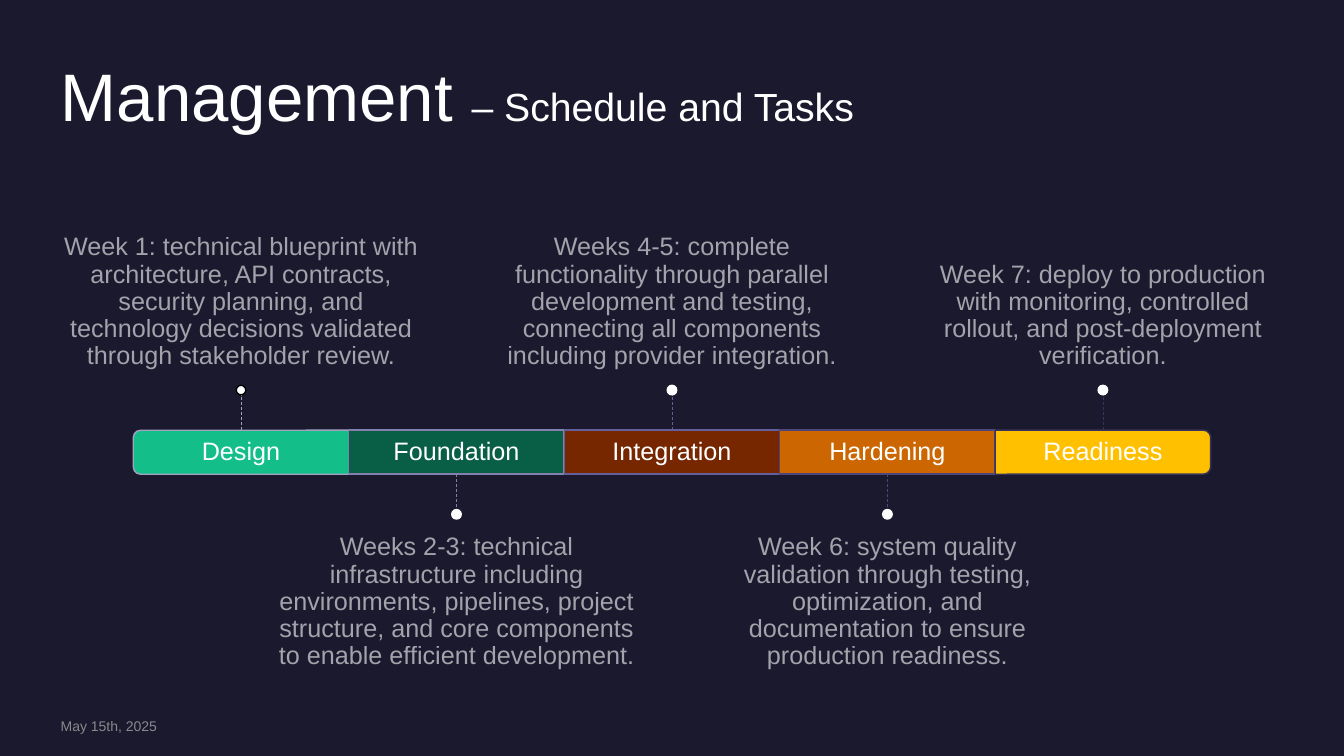
from pptx import Presentation
from pptx.dml.color import RGBColor
from pptx.enum.dml import MSO_LINE
from pptx.enum.shapes import MSO_CONNECTOR, MSO_SHAPE
from pptx.enum.text import MSO_ANCHOR, MSO_AUTO_SIZE, PP_ALIGN
from pptx.oxml.ns import qn
from pptx.util import Cm, Pt
from lxml import etree

STRAIGHT = MSO_CONNECTOR.STRAIGHT
RECT, DOT = MSO_SHAPE.RECTANGLE, MSO_SHAPE.OVAL
ROUNDED_END = MSO_SHAPE.ROUND_2_SAME_RECTANGLE
TOP, MIDDLE, BOTTOM = MSO_ANCHOR.TOP, MSO_ANCHOR.MIDDLE, MSO_ANCHOR.BOTTOM
LEFT, CENTER = PP_ALIGN.LEFT, PP_ALIGN.CENTER
DASH = MSO_LINE.DASH
NO_AUTOFIT = MSO_AUTO_SIZE.NONE

FONT = "Arial"
WHITE = "FFFFFF"

# Timeline geometry in centimetres
SLIDE_W, SLIDE_H = 33.87, 19.05
PHASE_W, BAR_TOP, BAR_H = 5.43, 10.84, 1.11
STEM, DOT_SIZE = 0.89, 0.24
TASK_W, TASK_H, TASK_GAP = 9.07, 3.87, 0.38

# Phase, bar colour, line colour, dot outline, task
PHASES = [
    ("Design", "13BE89", "A3A3C1", "000000",
     "Week 1: technical blueprint with architecture, API contracts, security "
     "planning, and technology decisions validated through stakeholder review."),
    ("Foundation", "095F45", "8281AE", WHITE,
     "Weeks 2-3: technical infrastructure including environments, pipelines, project "
     "structure, and core components to enable efficient development."),
    ("Integration", "762700", "625F9A", WHITE,
     "Weeks 4-5: complete functionality through parallel development and testing, "
     "connecting all components including provider integration."),
    ("Hardening", "CC6600", "4C487B", WHITE,
     "Week 6: system quality validation through testing, optimization, and "
     "documentation to ensure production readiness."),
    ("Readiness", "FFC000", "37335B", WHITE,
     "Week 7: deploy to production with monitoring, controlled rollout, and "
     "post-deployment verification."),
]


def rgb(hex_color):
    return RGBColor.from_string(hex_color)


def format_run(run, size, color=WHITE, opacity=100):
    run.font.name = FONT
    run.font.size = Pt(size)
    run.font.color.rgb = rgb(color)
    if opacity < 100:
        tint = run.font.fill._xPr.find(qn("a:solidFill"))[0]
        etree.SubElement(tint, qn("a:alpha"), val=str(opacity * 1000))


def set_frame(frame, anchor, top=0, bottom=0):
    frame.word_wrap = True
    frame.auto_size = NO_AUTOFIT
    frame.vertical_anchor = anchor
    frame.margin_left = frame.margin_right = 0
    frame.margin_top, frame.margin_bottom = Cm(top), Cm(bottom)


def add_text(slide, text, left, top, width, height, size, color=WHITE, opacity=100,
             align=CENTER, anchor=MIDDLE, inset_top=0, inset_bottom=0, spacing=0.9):
    frame = slide.shapes.add_textbox(Cm(left), Cm(top), Cm(width), Cm(height)).text_frame
    set_frame(frame, anchor, inset_top, inset_bottom)
    paragraph = frame.paragraphs[0]
    paragraph.text = text
    paragraph.alignment = align
    paragraph.line_spacing = spacing
    format_run(paragraph.runs[0], size, color, opacity)


def add_block(slide, kind, center_x, center_y, width, height, fill, outline, rotation=0):
    block = slide.shapes.add_shape(kind, Cm(center_x - width / 2), Cm(center_y - height / 2),
                                   Cm(width), Cm(height))
    block.rotation = rotation
    block.shadow.inherit = False
    block.fill.solid()
    block.fill.fore_color.rgb = rgb(fill)
    block.line.color.rgb = rgb(outline)
    block.line.width = Pt(1)


def add_stem(slide, x, start, end, color):
    stem = slide.shapes.add_connector(STRAIGHT, Cm(x), Cm(start), Cm(x), Cm(end))
    stem.line.color.rgb = rgb(color)
    stem.line.width = Pt(0.5)
    stem.line.dash_style = DASH
    etree.SubElement(stem._element.spPr, qn("a:effectLst"))


def add_title(slide):
    title = slide.shapes.title
    title.left, title.top, title.width, title.height = Cm(1.53), Cm(1.53), Cm(30.81), Cm(1.98)
    set_frame(title.text_frame, MIDDLE)
    paragraph = title.text_frame.paragraphs[0]
    paragraph.alignment = LEFT
    paragraph.line_spacing = 0.9
    for text, size in (("Management ", 48), ("– Schedule and Tasks", 28)):
        run = paragraph.add_run()
        run.text = text
        format_run(run, size)


def add_phase(slide, index, name, fill, outline, dot_outline, task):
    center_x = SLIDE_W / 2 + (index - (len(PHASES) - 1) / 2) * PHASE_W
    bar_middle = BAR_TOP + BAR_H / 2

    # Bar segment: the outer ends are rounded shapes turned on their side
    end_rotation = {0: 270, len(PHASES) - 1: 90}.get(index)
    if end_rotation:
        add_block(slide, ROUNDED_END, center_x, bar_middle, BAR_H, PHASE_W,
                  fill, outline, end_rotation)
    else:
        add_block(slide, RECT, center_x, bar_middle, PHASE_W, BAR_H, fill, outline)
    add_text(slide, name, center_x - PHASE_W / 2, BAR_TOP, PHASE_W, BAR_H, 18)

    # Tasks alternate above and below the bar
    above = index % 2 == 0
    direction = -1 if above else 1
    edge = BAR_TOP if above else BAR_TOP + BAR_H
    tip = edge + direction * STEM
    task_edge = tip + direction * DOT_SIZE
    add_text(slide, task, center_x - TASK_W / 2, task_edge - TASK_H if above else task_edge,
             TASK_W, TASK_H, 18, opacity=60, anchor=BOTTOM if above else TOP,
             inset_top=0 if above else TASK_GAP, inset_bottom=TASK_GAP if above else 0)
    add_stem(slide, center_x, edge, tip, outline)
    add_block(slide, DOT, center_x, tip + direction * DOT_SIZE / 2, DOT_SIZE, DOT_SIZE,
              WHITE, dot_outline)


def main():
    deck = Presentation()
    deck.slide_width, deck.slide_height = Cm(SLIDE_W), Cm(SLIDE_H)
    slide = deck.slides.add_slide(deck.slide_layouts[5])
    slide.background.fill.solid()
    slide.background.fill.fore_color.rgb = rgb("1B192E")

    add_title(slide)
    for index, phase in enumerate(PHASES):
        add_phase(slide, index, *phase)

    # Date
    add_text(slide, "May 15th, 2025", 1.53, 18.08, 7.32, 0.43, 10, "A6A6A6", 80,
             align=LEFT, spacing=1.0)
    deck.save("out.pptx")


if __name__ == "__main__":
    main()
